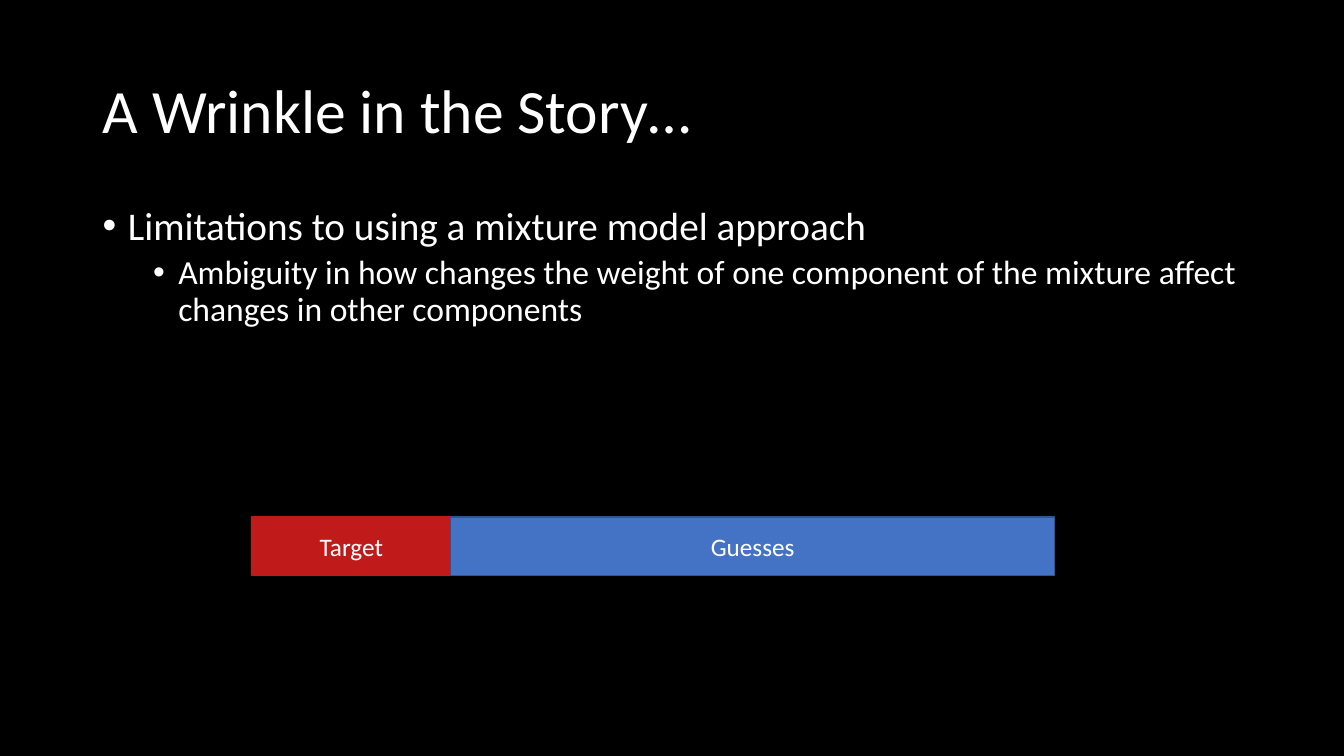
import pptx
import pptx.util
import pptx.dml.color
import pptx.enum.shapes
import pptx.enum.text
import lxml.etree

Inches, Pt = pptx.util.Inches, pptx.util.Pt
ALIGN = pptx.enum.text.PP_ALIGN
ANCHOR = pptx.enum.text.MSO_ANCHOR

TITLE = "A Wrinkle in the Story…"
# text, level, size, space before, indent of the text in inches
POINTS = [
    ("Limitations to using a mixture model approach", 0, 28, 10, 0.25),
    ("Ambiguity in how changes the weight of one component of the mixture "
     "affect changes in other components", 1, 24, 5, 0.75),
]
# label, width, fill, line
PARTS = [
    ("Target", 1.97, "C11A1A", "C11A1A"),
    ("Guesses", 5.99, "4472C4", "325491"),
]
LEFT, WIDTH = 0.92, 11.5
BAR_LEFT, BAR_TOP, BAR_HIGH = 2.5, 5.13, 0.58
HANG = 0.25


def color(code):
    return pptx.dml.color.RGBColor.from_string(code)


def write(para, text, size, **form):
    run = para.add_run()
    run.text = text
    for name, value in {"name": "Calibri", "size": Pt(size)}.items():
        setattr(run.font, name, value)
    run.font.color.rgb = color("FFFFFF")
    for name, value in form.items():
        setattr(para, name, value)


def bullet(para, indent):
    """Give the paragraph a round bullet with a hanging indent."""
    props = para._p.get_or_add_pPr()
    props.set("marL", str(Inches(indent)))
    props.set("indent", str(-Inches(HANG)))
    space = "{http://schemas.openxmlformats.org/drawingml/2006/main}"
    lxml.etree.SubElement(props, space + "buFont").set("typeface", "Arial")
    lxml.etree.SubElement(props, space + "buChar").set("char", "•")


def add_box(slide, top, height, anchor):
    box = slide.shapes.add_textbox(
        Inches(LEFT), Inches(top), Inches(WIDTH), Inches(height))
    frame = box.text_frame
    for name, value in {"word_wrap": True, "vertical_anchor": anchor}.items():
        setattr(frame, name, value)
    return frame


def add_part(slide, left, label, width, fill, line):
    part = slide.shapes.add_shape(
        pptx.enum.shapes.MSO_SHAPE.RECTANGLE,
        Inches(left), Inches(BAR_TOP), Inches(width), Inches(BAR_HIGH))
    part.shadow.inherit = False
    part.fill.solid()
    part.fill.fore_color.rgb = color(fill)
    part.line.color.rgb = color(line)
    part.line.width = Pt(1)
    part.text_frame.vertical_anchor = ANCHOR.MIDDLE
    write(part.text_frame.paragraphs[0], label, 18, alignment=ALIGN.CENTER)


def main():
    deck = pptx.Presentation()
    deck.slide_width, deck.slide_height = Inches(13.33), Inches(7.5)
    slide = deck.slides.add_slide(deck.slide_layouts[6])
    slide.background.fill.solid()
    slide.background.fill.fore_color.rgb = color("000000")

    head = add_box(slide, 0.4, 1.45, ANCHOR.MIDDLE)
    write(head.paragraphs[0], TITLE, 44, line_spacing=0.9)

    body = add_box(slide, 2, 4.76, ANCHOR.TOP)
    for i, (text, level, size, before, indent) in enumerate(POINTS):
        para = body.add_paragraph() if i else body.paragraphs[0]
        write(para, text, size, level=level, line_spacing=0.9,
              space_before=Pt(before))
        bullet(para, indent)

    left = BAR_LEFT
    for label, width, fill, line in PARTS:
        add_part(slide, left, label, width, fill, line)
        left += width

    deck.save("out.pptx")


if __name__ == "__main__":
    main()
